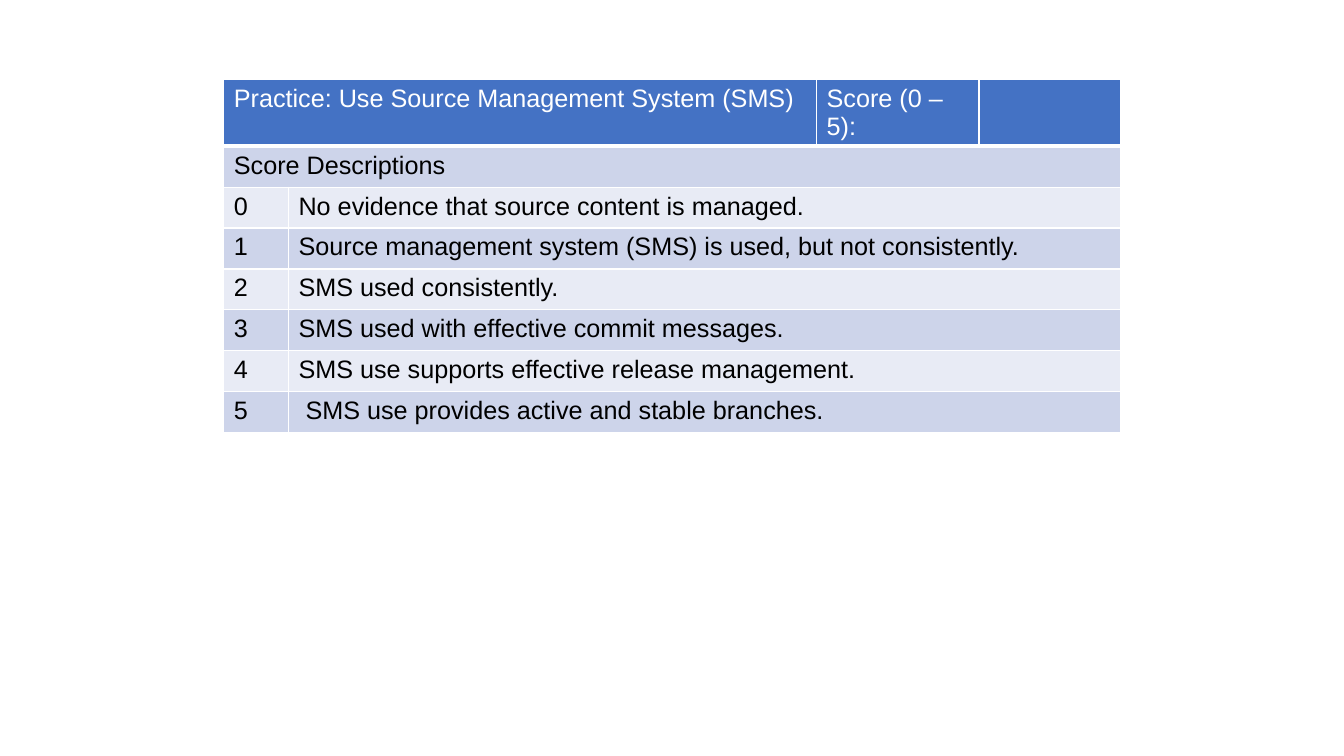
from lxml import etree
from pptx import Presentation
from pptx.dml.color import RGBColor
from pptx.oxml import ns
from pptx.util import Cm, Pt

HEADER, BAND_DARK, BAND_LIGHT = "4472C4", "CDD4EA", "E8EBF5"
WHITE, BLACK = "FFFFFF", "000000"


def color(value):
    return RGBColor.from_string(value)


class SlideBuilder:
    font = {"name": "Arial", "size": Pt(18), "bold": False}

    def __init__(self, slide):
        self.slide = slide

    def border(self, cell, side, width):
        properties = cell._tc.get_or_add_tcPr()
        line = etree.SubElement(properties, ns.qn(f"a:ln{side}"), w=str(Pt(width)))
        fill = etree.SubElement(line, ns.qn("a:solidFill"))
        etree.SubElement(fill, ns.qn("a:srgbClr"), val=WHITE)

    def cell(self, cell, wording, fill, ink, top=1, bottom=1):
        for side, width in {"L": 1, "R": 1, "T": top, "B": bottom}.items():
            self.border(cell, side, width)
        cell.fill.solid()
        cell.fill.fore_color.rgb = color(fill)
        para = cell.text_frame.paragraphs[0]
        holder = para.add_run() if wording else para
        if wording:
            holder.text = wording
        for name, value in self.font.items():
            setattr(holder.font, name, value)
        holder.font.color.rgb = color(ink)

    def table(self, left, top, widths, row_height, row_count):
        frame = self.slide.shapes.add_table(
            row_count, len(widths), Cm(left), Cm(top),
            Cm(sum(widths)), Cm(row_height * row_count))
        for column, width in zip(frame.table.columns, widths):
            column.width = Cm(width)
        for row in frame.table.rows:
            row.height = Cm(row_height)
        return frame.table


deck = Presentation()
deck.slide_width, deck.slide_height = Cm(33.87), Cm(19.05)
page = SlideBuilder(deck.slides.add_slide(deck.slide_layouts[6]))

headings = {0: "Practice: Use Source Management System (SMS)",
            2: "Score (0 – 5):", 3: ""}
descriptions = [
    "No evidence that source content is managed.",
    "Source management system (SMS) is used, but not consistently.",
    "SMS used consistently.",
    "SMS used with effective commit messages.",
    "SMS use supports effective release management.",
    " SMS use provides active and stable branches.",
]

scores = page.table(5.64, 2.01, [1.63, 13.31, 4.09, 3.56], 1.03,
                    len(descriptions) + 2)
scores.cell(0, 0).merge(scores.cell(0, 1))
for column, heading in headings.items():
    page.cell(scores.cell(0, column), heading, HEADER, WHITE, bottom=3)

scores.cell(1, 0).merge(scores.cell(1, 3))
page.cell(scores.cell(1, 0), "Score Descriptions", BAND_DARK, BLACK, top=3)

for score, description in enumerate(descriptions):
    row = score + 2
    band = BAND_DARK if score % 2 else BAND_LIGHT
    scores.cell(row, 1).merge(scores.cell(row, 3))
    page.cell(scores.cell(row, 0), str(score), band, BLACK)
    page.cell(scores.cell(row, 1), description, band, BLACK)

deck.save("out.pptx")
